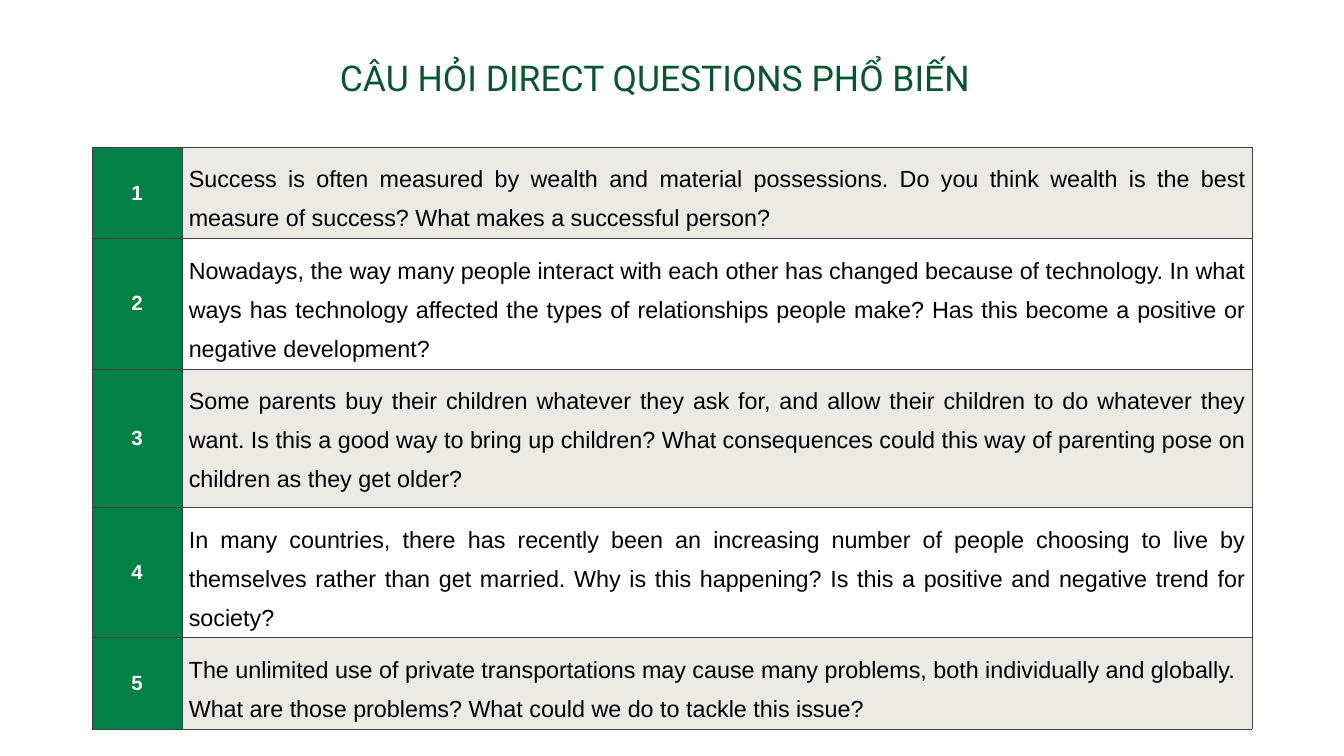
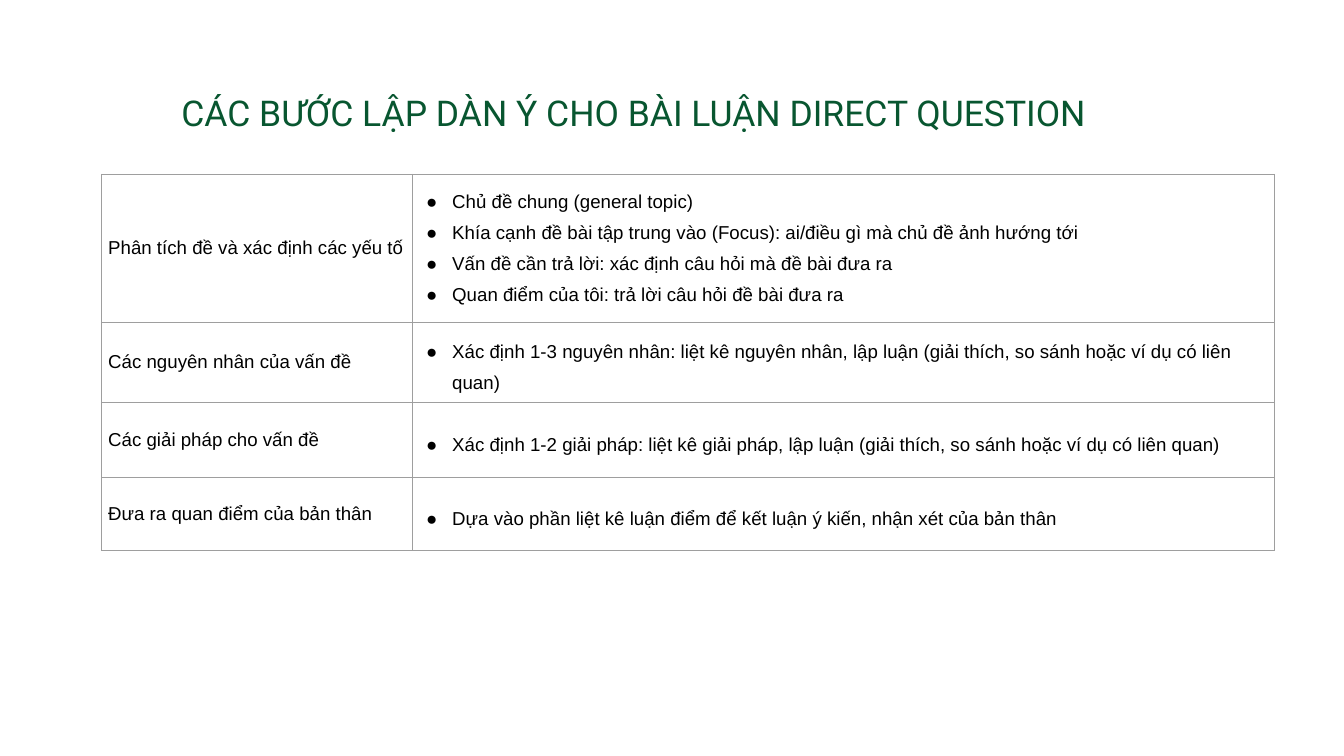
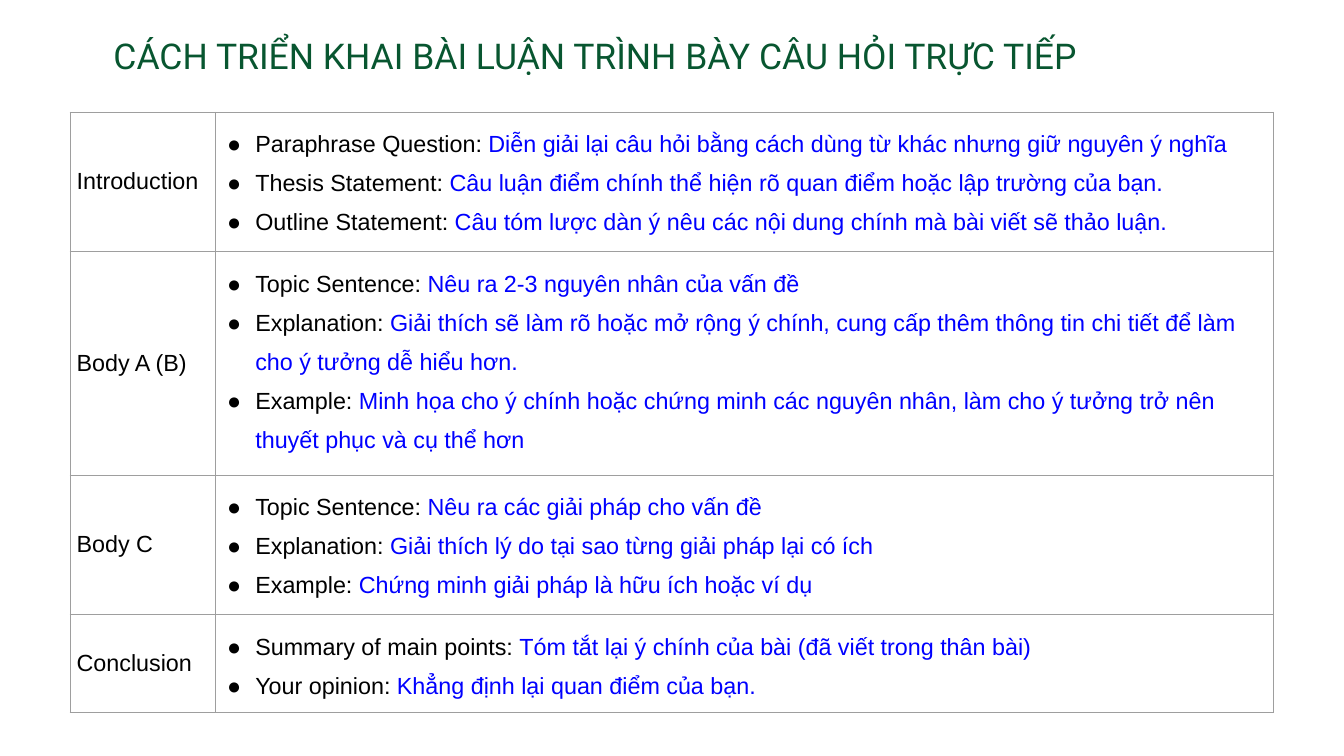
from collections import namedtuple

from lxml import etree
from pptx import Presentation
from pptx import util as u
from pptx.dml import color
from pptx.enum import text
from pptx.oxml import ns

Box = namedtuple("Box", "left top width height")

# Shared look
TITLE_GREEN, NUMBER_GREEN, BAND = "085630", "018146", "E4E2DB"
BLACK, WHITE, BLUE = "000000", "FFFFFF", "0000FF"
DARK_RULE, GREY_RULE = "414041", "9E9E9E"
BODY_FONT, TITLE_FONT = "Arial", "Roboto"
TITLE_SIZE, TITLE_HEIGHT = 38, 64
INSET = u.Pt(7.2)
MARGINS = {f"margin_{side}": INSET for side in ("left", "right", "top", "bottom")}
TOP, MIDDLE = text.MSO_ANCHOR.TOP, text.MSO_ANCHOR.MIDDLE
LEFT, CENTER, JUSTIFY = text.PP_ALIGN.LEFT, text.PP_ALIGN.CENTER, text.PP_ALIGN.JUSTIFY

# Question, space before, space after, alignment, anchor
QUESTIONS = [
    ("Success is often measured by wealth and material possessions. Do you think wealth is "
     "the best measure of success? What makes a successful person?", 0, 10, JUSTIFY, TOP),
    ("Nowadays, the way many people interact with each other has changed because of technology. "
     "In what ways has technology affected the types of relationships people make? Has this "
     "become a positive or negative development?", 10, 10, JUSTIFY, TOP),
    ("Some parents buy their children whatever they ask for, and allow their children to do "
     "whatever they want. Is this a good way to bring up children? What consequences could this "
     "way of parenting pose on children as they get older?", 0, 10, JUSTIFY, TOP),
    ("In many countries, there has recently been an increasing number of people choosing to live "
     "by themselves rather than get married. Why is this happening? Is this a positive and "
     "negative trend for society?", 0, 0, JUSTIFY, TOP),
    ("The unlimited use of private transportations may cause many problems, both individually "
     "and globally. What are those problems? What could we do to tackle this issue?",
     0, 0, LEFT, MIDDLE),
]

# Each point is a list of spans: black lead, then blue explanation
STEPS = [
    ("Phân tích đề và xác định các yếu tố", [
        ["Chủ đề chung (general topic)"],
        ["Khía cạnh đề bài tập trung vào (Focus): ai/điều gì mà chủ đề ảnh hướng tới"],
        ["Vấn đề cần trả lời: xác định câu hỏi mà đề bài đưa ra"],
        ["Quan điểm của tôi: trả lời câu hỏi đề bài đưa ra"]]),
    ("Các nguyên nhân của vấn đề", [
        ["Xác định 1-3 nguyên nhân: liệt kê nguyên nhân, lập luận "
         "(giải thích, so sánh hoặc ví dụ có liên quan)"]]),
    ("Các giải pháp cho vấn đề", [
        ["Xác định 1-2 giải pháp: liệt kê giải pháp, lập luận "
         "(giải thích, so sánh hoặc ví dụ có liên quan)"]]),
    ("Đưa ra quan điểm của bản thân", [
        ["Dựa vào phần liệt kê luận điểm để kết luận ý kiến, nhận xét của bản thân"]]),
]

ESSAY_PARTS = [
    ("Introduction", [
        ["Paraphrase Question: ",
         "Diễn giải lại câu hỏi bằng cách dùng từ khác nhưng giữ nguyên ý nghĩa"],
        ["Thesis Statement: ",
         "Câu luận điểm chính thể hiện rõ quan điểm hoặc lập trường của bạn."],
        ["Outline Statement: ",
         "Câu tóm lược dàn ý nêu các nội dung chính mà bài viết sẽ thảo luận."]]),
    ("Body A (B)", [
        ["Topic Sentence: ", "Nêu ra 2-3 nguyên nhân của vấn đề"],
        ["Explanation: ",
         "Giải thích sẽ làm rõ hoặc mở rộng ý chính, cung cấp thêm thông tin chi tiết "
         "để làm cho ý tưởng dễ hiểu hơn."],
        ["Example: ",
         "Minh họa cho ý chính hoặc chứng minh các nguyên nhân, làm cho ý tưởng trở nên "
         "thuyết phục và cụ thể hơn"]]),
    ("Body C", [
        ["Topic Sentence: ", "Nêu ra các giải pháp cho vấn đề"],
        ["Explanation: ", "Giải thích lý do tại sao từng giải pháp lại có ích"],
        ["Example: ", "Chứng minh giải pháp là hữu ích hoặc ví dụ"]]),
    ("Conclusion", [
        ["Summary of main points: ", "Tóm tắt lại ý chính của bài (đã viết trong thân bài)"],
        ["Your opinion: ", "Khẳng định lại quan điểm của bạn."]]),
]


def rgb(value):
    return color.RGBColor.from_string(value)


def apply(target, values):
    for name, value in values.items():
        setattr(target, name, value)


def add_span(para, words, size, shade=BLACK, name=BODY_FONT, bold=False):
    span = para.add_run()
    span.text = words
    apply(span.font, {"size": u.Pt(size), "name": name, "bold": bold})
    span.font.color.rgb = rgb(shade)


def add_bullet(para, hanging):
    properties = para._p.get_or_add_pPr()
    properties.set("marL", str(u.Pt(36)))
    properties.set("indent", str(-u.Pt(hanging)))
    shade = etree.SubElement(properties, ns.qn("a:buClr"))
    etree.SubElement(shade, ns.qn("a:srgbClr"), val=BLACK)
    etree.SubElement(properties, ns.qn("a:buFont"), typeface=BODY_FONT)
    etree.SubElement(properties, ns.qn("a:buChar"), char="●")


def style_cell(cell, rule, anchor, fill=None, opacity=100):
    apply(cell, {**MARGINS, "vertical_anchor": anchor})
    properties = cell._tc.get_or_add_tcPr()
    for side in "LRTB":
        line = etree.SubElement(properties, ns.qn(f"a:ln{side}"), w=str(u.Pt(0.75)))
        solid = etree.SubElement(line, ns.qn("a:solidFill"))
        etree.SubElement(solid, ns.qn("a:srgbClr"), val=rule)
    if fill is None:
        cell.fill.background()
        return
    cell.fill.solid()
    cell.fill.fore_color.rgb = rgb(fill)
    if opacity < 100:
        shade = properties.find(ns.qn("a:solidFill")).find(ns.qn("a:srgbClr"))
        etree.SubElement(shade, ns.qn("a:alpha"), val=str(opacity * 1000))


def add_title(page, words, box):
    frame = page.shapes.add_textbox(*map(u.Pt, box)).text_frame
    apply(frame, {**MARGINS, "word_wrap": True})
    add_span(frame.paragraphs[0], words, TITLE_SIZE, TITLE_GREEN, TITLE_FONT)


def add_grid(page, box, label_width, heights):
    """Two-column table: a label column and the rest of the box."""
    table = page.shapes.add_table(len(heights), 2, *map(u.Pt, box)).table
    apply(table, {"first_row": False, "horz_banding": False})
    for column, width in zip(table.columns, (label_width, box.width - label_width)):
        column.width = u.Pt(width)
    for row, height in zip(table.rows, heights):
        row.height = u.Pt(height)
    return table


def add_question_table(page, box, heights):
    table = add_grid(page, box, 96.5, heights)
    for index, (question, before, after, align, anchor) in enumerate(QUESTIONS):
        number, body = table.cell(index, 0), table.cell(index, 1)
        # Number
        style_cell(number, DARK_RULE, MIDDLE, NUMBER_GREEN)
        para = number.text_frame.paragraphs[0]
        para.alignment = CENTER
        add_span(para, str(index + 1), 22, WHITE, bold=True)
        # Question, on a band in every other row
        style_cell(body, DARK_RULE, anchor, None if index % 2 else BAND, 70)
        para = body.text_frame.paragraphs[0]
        apply(para, {"alignment": align, "line_spacing": 1.5,
                     "space_before": u.Pt(before), "space_after": u.Pt(after)})
        add_span(para, question, 25)


def add_outline_table(page, box, label_width, heights, rows, size, hanging):
    table = add_grid(page, box, label_width, heights)
    for index, (label, points) in enumerate(rows):
        head, body = table.cell(index, 0), table.cell(index, 1)
        # Label
        style_cell(head, GREY_RULE, MIDDLE)
        add_span(head.text_frame.paragraphs[0], label, size)
        # Bulleted points
        style_cell(body, GREY_RULE, TOP if len(points) > 1 else MIDDLE)
        frame = body.text_frame
        for position, point in enumerate(points):
            para = frame.add_paragraph() if position else frame.paragraphs[0]
            para.line_spacing = 1.5
            add_bullet(para, hanging)
            for words, shade in zip(point, (BLACK, BLUE)):
                add_span(para, words, size, shade)


def main():
    deck = Presentation()
    apply(deck, {"slide_width": u.Pt(1440), "slide_height": u.Pt(810)})
    questions, steps, essay = [deck.slides.add_slide(deck.slide_layouts[6]) for _ in range(3)]

    # Common questions
    heights = [80, 120.2, 148.3, 120.2, 80]
    add_question_table(questions, Box(98.6, 157.7, 1242.7, sum(heights)), heights)
    add_title(questions, "CÂU HỎI DIRECT QUESTIONS PHỔ BIẾN",
              Box(357.1, 52.6, 752.4, TITLE_HEIGHT))

    # Outline steps and essay structure
    heights = [73.4, 80, 80, 78.5]
    add_title(steps, "CÁC BƯỚC LẬP DÀN Ý CHO BÀI LUẬN DIRECT QUESTION",
              Box(187.2, 90, 1064.9, TITLE_HEIGHT))
    add_outline_table(steps, Box(108.7, 186.5, 1256.4, sum(heights)),
                      332.64, heights, STEPS, 20, 28)
    add_title(essay, "CÁCH TRIỂN KHAI BÀI LUẬN TRÌNH BÀY CÂU HỎI TRỰC TIẾP",
              Box(114.5, 29.5, 1195.9, TITLE_HEIGHT))
    add_outline_table(essay, Box(74.9, 120.2, 1289.5, sum(heights)),
                      155.5, heights, ESSAY_PARTS, 25, 30.2)

    deck.save("out.pptx")


if __name__ == "__main__":
    main()
